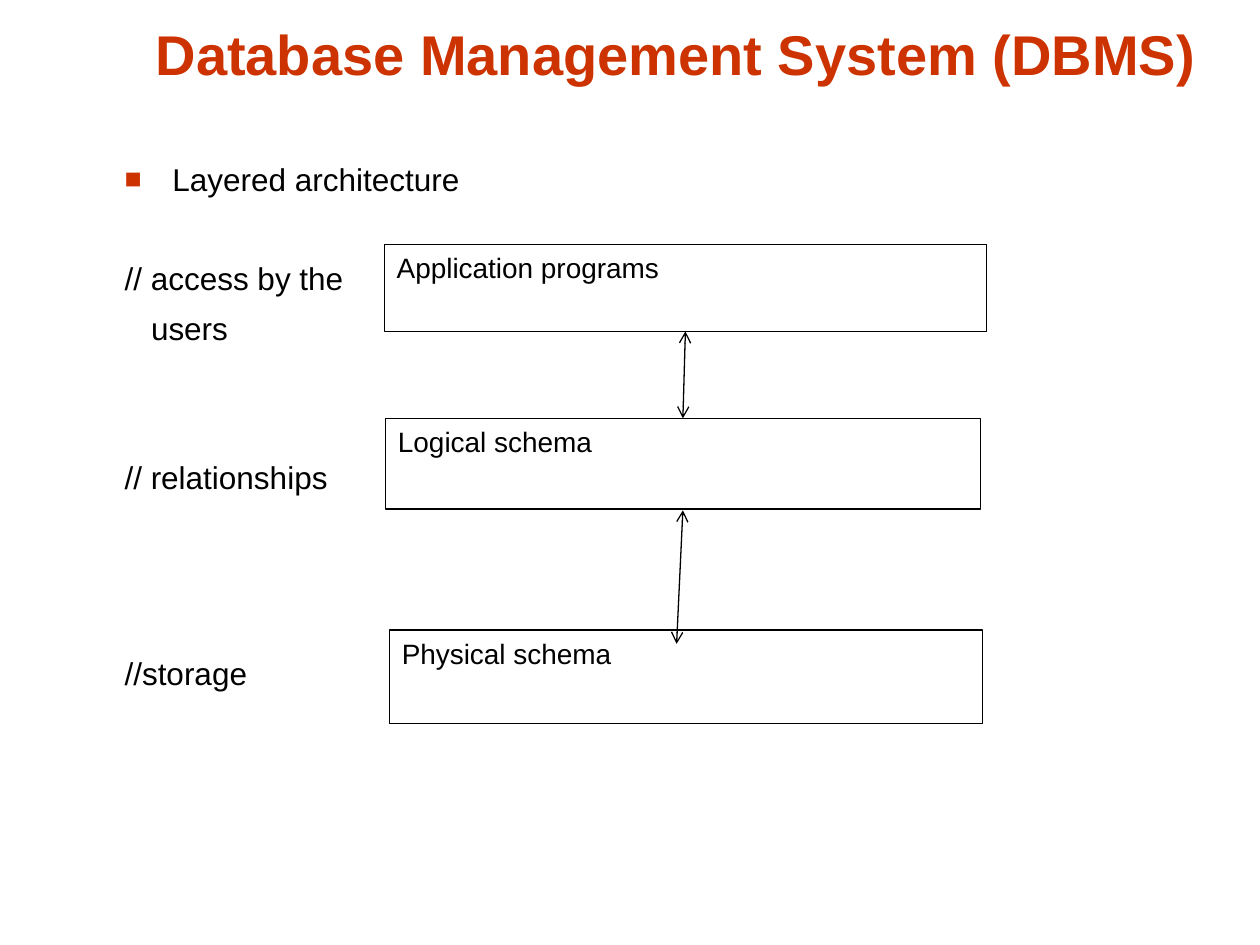
from lxml import etree
from pptx import Presentation
from pptx import util as u
from pptx.dml.color import RGBColor
from pptx.enum import shapes, text
from pptx.oxml.ns import qn

# Grid of square cells that covers the slide
COLS, ROWS = 100, 75
CELL = u.Inches(10) // COLS
RED, BLACK, WHITE = "CC3300", "000000", "FFFFFF"
FONT = "Arial"
NOTE_GAP, NOTE_PITCH = 7.2, 27.9  # points: gap before a line, line plus gap

# Note text, empty lines above it, left indent in cells
NOTES = [
    ("Layered architecture", 0, 3.8),
    ("// access by the", 1, 0),
    ("users", 0, 2.1),
    ("// relationships", 2, 0),
    ("//storage", 3, 0),
]
LAYERS = [
    ("Application programs", (30.5, 19.4, 47.8, 6.9)),
    ("Logical schema", (30.6, 33.2, 47.2, 7.2)),
    ("Physical schema", (30.9, 50, 47.1, 7.4)),
]
LINKS = [((54.4, 26.3), (54.2, 33.2)), ((54.2, 40.5), (53.7, 51.1))]


def cells(*values):
    return [u.Emu(round(v * CELL)) for v in values]


def rgb(value):
    return RGBColor.from_string(value)


def style(p, size, color=BLACK, bold=False):
    for r in p.runs:
        r.font.name, r.font.size, r.font.bold = FONT, u.Pt(size), bold
        r.font.color.rgb = rgb(color)


def add_bullet(p, indent):
    pPr = p._p.get_or_add_pPr()
    pPr.set("indent", str(-cells(indent)[0]))
    color = etree.SubElement(pPr, qn("a:buClr"))
    etree.SubElement(color, qn("a:srgbClr"), val=RED)
    etree.SubElement(pPr, qn("a:buSzPct"), val="90000")
    etree.SubElement(pPr, qn("a:buFont"), typeface=FONT)
    etree.SubElement(pPr, qn("a:buChar"), char="■")


def add_title(s, box):
    tf = s.shapes.add_textbox(*cells(*box)).text_frame
    tf.word_wrap = True
    tf.vertical_anchor = text.MSO_ANCHOR.BOTTOM
    p = tf.paragraphs[0]
    p.text = "Database Management System (DBMS)"
    p.alignment = text.PP_ALIGN.CENTER
    style(p, 32, RED, True)


def add_notes(s, box):
    tf = s.shapes.add_textbox(*cells(*box)).text_frame
    tf.word_wrap = True
    for i, (note, skipped, indent) in enumerate(NOTES):
        p = tf.add_paragraph() if i else tf.paragraphs[0]
        p.text = note
        p.space_before = u.Pt(NOTE_GAP + skipped * NOTE_PITCH if i else 0)
        p._p.get_or_add_pPr().set("marL", str(cells(indent)[0]))
        if i == 0:
            add_bullet(p, indent)
        style(p, 18)


def add_layer(s, label, box):
    sp = s.shapes.add_shape(shapes.MSO_SHAPE.RECTANGLE, *cells(*box))
    sp.shadow.inherit = False
    sp.fill.solid()
    sp.fill.fore_color.rgb = rgb(WHITE)
    sp.line.color.rgb = rgb(BLACK)
    sp.line.width = u.Pt(0.75)
    tf = sp.text_frame
    tf.word_wrap = True
    tf.vertical_anchor = text.MSO_ANCHOR.TOP
    p = tf.paragraphs[0]
    p.text = label
    p.alignment = text.PP_ALIGN.LEFT
    style(p, 16)


def add_link(s, start, end):
    link = s.shapes.add_connector(
        shapes.MSO_CONNECTOR.STRAIGHT, *cells(*start, *end))
    link.line.color.rgb = rgb(BLACK)
    link.line.width = u.Pt(0.75)
    for tag in ("a:headEnd", "a:tailEnd"):
        etree.SubElement(link.line._get_or_add_ln(), qn(tag), type="arrow")
    etree.SubElement(link._element.spPr, qn("a:effectLst"))


def main():
    prs = Presentation()
    prs.slide_width, prs.slide_height = cells(COLS, ROWS)
    s = prs.slides.add_slide(prs.slide_layouts[6])
    # Heading and notes
    add_title(s, (9.5, 0.7, 88.3, 6.7))
    add_notes(s, (8.9, 12.2, 84.1, 57.7))
    # Layer boxes, joined by two-way arrows
    for label, box in LAYERS:
        add_layer(s, label, box)
    for start, end in LINKS:
        add_link(s, start, end)
    prs.save("out.pptx")


if __name__ == "__main__":
    main()
